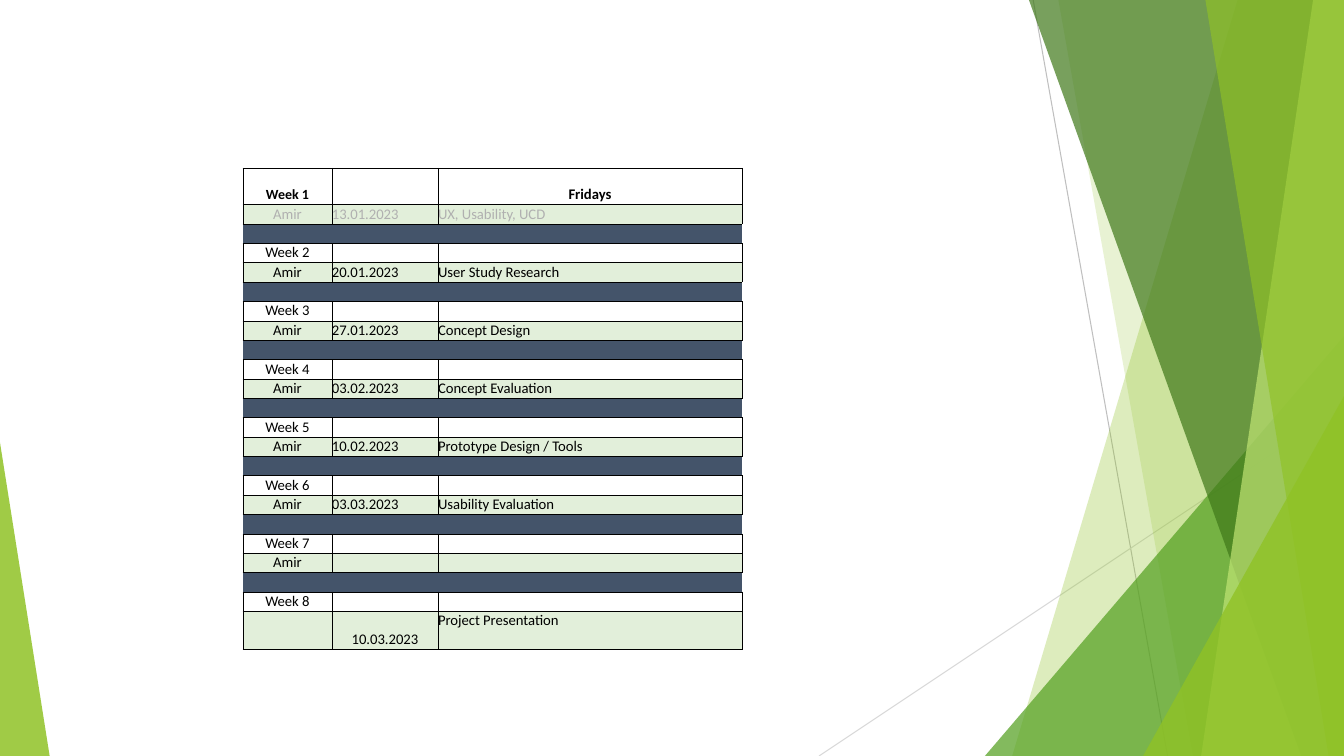
from lxml import etree
from pptx import Presentation
from pptx.dml.color import RGBColor
from pptx.enum.shapes import MSO_CONNECTOR, MSO_SHAPE
from pptx.enum.text import MSO_ANCHOR, PP_ALIGN
from pptx.oxml.ns import qn
from pptx.util import Pt

LEFT, CENTER = PP_ALIGN.LEFT, PP_ALIGN.CENTER
TOP, BOTTOM = MSO_ANCHOR.TOP, MSO_ANCHOR.BOTTOM
STRAIGHT = MSO_CONNECTOR.STRAIGHT
TRIANGLE = MSO_SHAPE.ISOSCELES_TRIANGLE
WIDTH, HEIGHT = 960, 540
LIME, GREEN, FOREST, PALE = "90C226", "54A021", "3F7819", "C0E474"
BLACK, GREY, BAND, MINT = "000000", "B0B0B0", "44546A", "E2EFDA"
SESSIONS = [
    ("Amir", "13.01.2023", "UX, Usability, UCD"),
    ("Amir", "20.01.2023", "User Study Research"),
    ("Amir", "27.01.2023", "Concept Design"),
    ("Amir", "03.02.2023", "Concept Evaluation"),
    ("Amir", "10.02.2023", "Prototype Design / Tools"),
    ("Amir", "03.03.2023", "Usability Evaluation"),
    ("Amir", "", ""),
    ("", "10.03.2023", "Project Presentation"),
]


def rgb(code):
    """Turn a hex string into a colour."""
    return RGBColor.from_string(code)


class Painter:
    """Holds the style and the current slide and draws each kind of element."""

    font_name = "Calibri"
    font_size = 10.5
    border_width = 0.5

    def __init__(self, page):
        """Keep the slide to draw on."""
        self.page = page

    def line(self, start, end, color):
        """Draw a thin straight line."""
        line = self.page.shapes.add_connector(STRAIGHT, *map(Pt, start + end))
        line.line.color.rgb = rgb(color)
        line.line.width = Pt(0.75)
        etree.SubElement(line._element.spPr, qn("a:effectLst"))

    def paint(self, shape, color, opacity):
        """Give a shape a see-through fill and no outline."""
        shape.shadow.inherit = False
        shape.fill.solid()
        shape.fill.fore_color.rgb = rgb(color)
        shape.line.fill.background()
        tint = shape._element.spPr.find(".//" + qn("a:srgbClr"))
        etree.SubElement(tint, qn("a:alpha"), val=str(opacity * 1000))

    def blade(self, top_x, bottom_x, color, opacity):
        """Draw a full-height facet that ends at the right slide edge."""
        corners = [(WIDTH, 0), (WIDTH, HEIGHT), (bottom_x, HEIGHT)]
        outline = self.page.shapes.build_freeform(Pt(top_x), Pt(0))
        outline.add_line_segments([(Pt(x), Pt(y)) for x, y in corners])
        self.paint(outline.convert_to_shape(), color, opacity)

    def triangle(self, left, top, width, apex, color, opacity):
        """Draw a triangle that stands on the bottom slide edge."""
        place = map(Pt, (left, top, width, HEIGHT - top))
        shape = self.page.shapes.add_shape(TRIANGLE, *place)
        shape.adjustments[0] = apex
        self.paint(shape, color, opacity)

    def table(self, left, top, widths, heights):
        """Add a plain table and return it."""
        place = map(Pt, (left, top, sum(widths), sum(heights)))
        frame = self.page.shapes.add_table(len(heights), len(widths), *place)
        table = frame.table
        table.first_row = table.horz_banding = False
        for column, width in zip(table.columns, widths):
            column.width = Pt(width)
        for row, height in zip(table.rows, heights):
            row.height = Pt(height)
        return table

    def borders(self, cell, sides):
        """Rule the given sides of a cell and clear the others."""
        properties = cell._tc.get_or_add_tcPr()
        for side in "LRTB":
            edge = etree.SubElement(properties, qn("a:ln" + side),
                                    w=str(Pt(self.border_width)))
            if side in sides:
                fill = etree.SubElement(edge, qn("a:solidFill"))
                etree.SubElement(fill, qn("a:srgbClr"), val=BLACK)
            else:
                etree.SubElement(edge, qn("a:noFill"))

    def cell(self, cell, text="", fill=None, sides="LRTB", align=LEFT,
             anchor=BOTTOM, **font):
        """Fill, rule and write one table cell."""
        self.borders(cell, sides)
        if fill:
            cell.fill.solid()
            cell.fill.fore_color.rgb = rgb(fill)
        else:
            cell.fill.background()
        layout = {"margin_left": 0, "margin_right": 0, "margin_top": 0,
                  "margin_bottom": Pt(0.72), "vertical_anchor": anchor}
        for name, value in layout.items():
            setattr(cell, name, value)
        para = cell.text_frame.paragraphs[0]
        para.alignment = align
        if not text:
            etree.SubElement(para._p, qn("a:endParaRPr"),
                             sz=str(int(self.font_size * 100)))
            return
        span = para.add_run()
        span.text = text
        color = font.pop("color", BLACK)
        style = {"name": self.font_name, "size": Pt(self.font_size),
                 "bold": False, **font}
        for name, value in style.items():
            setattr(span.font, name, value)
        span.font.color.rgb = rgb(color)


def draw_facets(painter):
    """Draw the green facets at both slide edges."""
    painter.line((738, 0), (834, HEIGHT), "BFBFBF")
    painter.line((WIDTH, 290), (585, HEIGHT), "D9D9D9")
    painter.blade(884, 723, LIME, 30)
    painter.blade(756, 852, LIME, 20)
    painter.triangle(703.5, 240, 256.5, 1, GREEN, 72)
    painter.blade(735, 929.5, FOREST, 70)
    painter.blade(938, 858, PALE, 70)
    painter.blade(861, 949, LIME, 65)
    painter.triangle(816.5, 283, 143.5, 1, LIME, 80)
    painter.triangle(0, 316, 35.5, 0, LIME, 85)


def draw_schedule(painter):
    """Draw the table with a heading, a session and a band for each week."""
    heights = [26] + [13.85] * (3 * len(SESSIONS) - 3) + [27.1]
    table = painter.table(173.6, 120.2, [63.5, 75.8, 217.1], heights)
    last = len(SESSIONS) - 1
    for week, session in enumerate(SESSIONS):
        row = 3 * week
        first = week == 0
        heading = (f"Week {week + 1}", "", "Fridays" if first else "")
        for column, (title, text) in enumerate(zip(heading, session)):
            size = Pt(10 if first and column == 0 else painter.font_size)
            painter.cell(table.cell(row, column), title, align=CENTER,
                         bold=first, size=size)
            centered = column == 0 or (week == last and column == 1)
            raised = week == last and column == 2
            painter.cell(table.cell(row + 1, column), text, MINT,
                         align=CENTER if centered else LEFT,
                         anchor=TOP if raised else BOTTOM,
                         color=GREY if first else BLACK)
            if week < last:
                painter.cell(table.cell(row + 2, column), fill=BAND, sides="TB")


def main():
    """Build and save the deck."""
    deck = Presentation()
    deck.slide_width, deck.slide_height = Pt(WIDTH), Pt(HEIGHT)
    painter = Painter(deck.slides.add_slide(deck.slide_layouts[6]))
    draw_facets(painter)
    draw_schedule(painter)
    deck.save("out.pptx")


if __name__ == "__main__":
    main()
